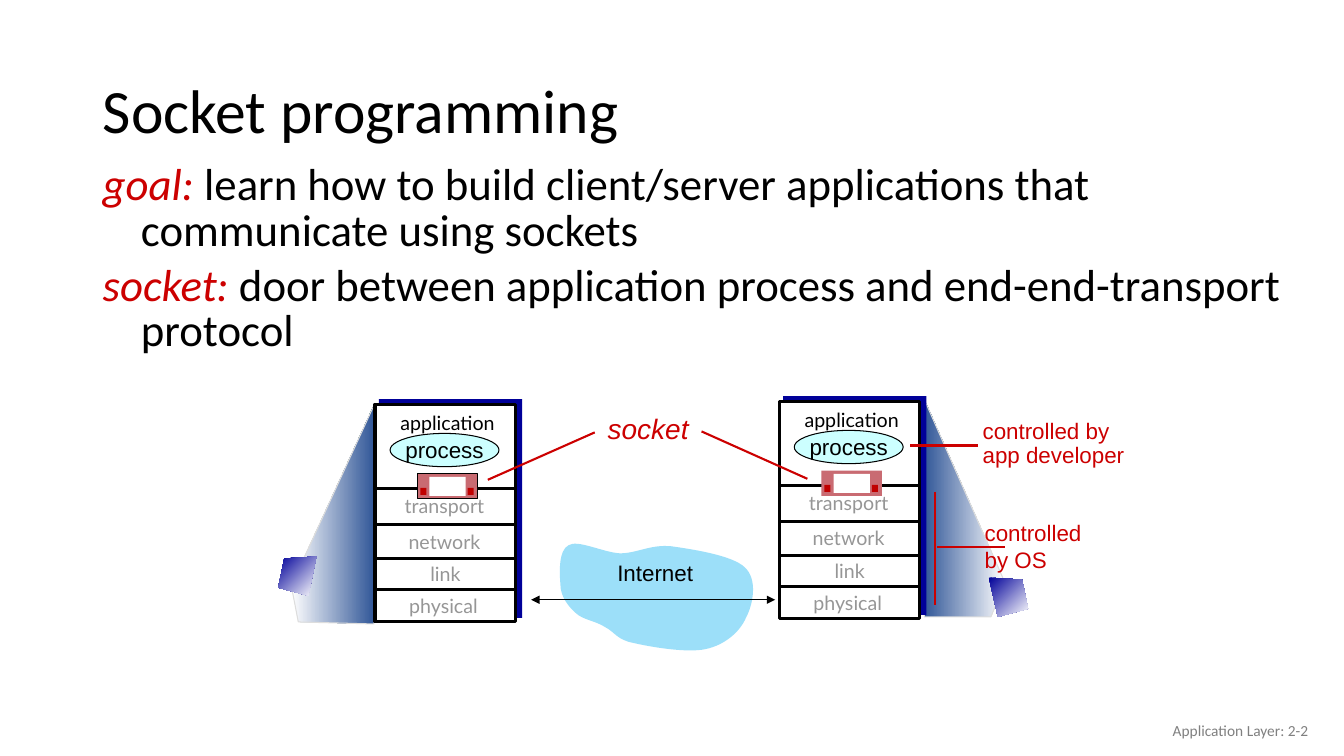
from lxml.etree import Element, SubElement
from pptx import Presentation
from pptx.dml.color import RGBColor
from pptx.enum.shapes import MSO_CONNECTOR, MSO_SHAPE
from pptx.enum.text import MSO_ANCHOR, MSO_AUTO_SIZE, PP_ALIGN
from pptx.oxml.ns import qn
from pptx.util import Pt

SCALE = 9144
RED, BLACK, GREY, NAVY, WHITE = "CC0000", "000000", "969696", "000099", "FFFFFF"
TITLE = {"name": "Calibri", "size": Pt(44)}
BODY = {"name": "Calibri", "size": Pt(32)}
FOOTER = {"name": "Calibri", "size": Pt(11)}
LAYER = {"name": "Lato", "size": Pt(14)}
LABEL = {"name": "Arial", "size": Pt(16)}
SOCKET = {"name": "Arial", "size": Pt(20), "italic": True}
LAYERS = [
    ("application", 372, 400, BLACK),
    ("transport", 369, 483, GREY),
    ("network", 369, 518, GREY),
    ("link", 370, 550, GREY),
    ("physical", 368, 582, GREY),
]
DIVIDERS = [485, 520, 554, 585]
CLOUD = [
    (556, 580),
    (555, 568), (554, 546), (564, 541),
    (573, 535), (598, 548), (615, 549),
    (632, 549), (645, 540), (666, 542),
    (687, 545), (727, 551), (739, 563),
    (752, 575), (747, 600), (740, 613),
    (734, 627), (719, 640), (700, 644),
    (682, 648), (646, 642), (629, 638),
    (612, 635), (610, 627), (600, 622),
    (591, 616), (578, 615), (571, 608),
    (563, 601), (556, 591), (556, 580),
]


def emu(*lengths):
    return [round(length * SCALE) for length in lengths]


def color(value):
    return RGBColor.from_string(value)


def set_values(target, values):
    for name, value in values.items():
        setattr(target, name, value)


def set_line(shape, line):
    if line is None:
        shape.line.fill.background()
        return
    shape.line.color.rgb = color(line[0])
    shape.line.width = Pt(line[1])


def add_span(para, text, font, ink):
    span = para.add_run()
    span.text = text
    set_values(span.font, font)
    span.font.color.rgb = color(ink)


def write(shape, lines, font, paragraph, frame):
    text_frame = shape.text_frame
    set_values(text_frame, {"auto_size": MSO_AUTO_SIZE.NONE, **frame})
    for index, (text, ink) in enumerate(lines):
        para = text_frame.add_paragraph() if index else text_frame.paragraphs[0]
        set_values(para, paragraph)
        add_span(para, text, font, ink)


def add_label(slide, place, lines, font, ink, align=PP_ALIGN.LEFT, spacing=1.0,
              anchor=MSO_ANCHOR.TOP):
    box = slide.shapes.add_textbox(*emu(*place))
    write(box, [(line, ink) for line in lines], font,
          {"alignment": align, "line_spacing": spacing},
          {"word_wrap": False, "vertical_anchor": anchor})


def add_block(slide, kind, place, fill, line=None):
    shape = slide.shapes.add_shape(kind, *emu(*place))
    shape.shadow.inherit = False
    shape.fill.solid()
    shape.fill.fore_color.rgb = color(fill)
    set_line(shape, line)
    return shape


def add_outline(slide, points, line=None):
    corners = [emu(*point) for point in points]
    builder = slide.shapes.build_freeform(*corners[0], scale=1.0)
    builder.add_line_segments(corners[1:], close=True)
    shape = builder.convert_to_shape()
    shape.shadow.inherit = False
    set_line(shape, line)
    return shape


def add_gradient_outline(slide, points, stops, angle, line=None):
    shape = add_outline(slide, points, line)
    shape.fill.gradient()
    shape.fill.gradient_angle = angle
    for stop, position, value in zip(shape.fill.gradient_stops, (0, 1), stops):
        stop.position = position
        stop.color.rgb = color(value)


def add_curved_outline(slide, points, fill):
    shape = add_outline(slide, points)
    shape.fill.solid()
    shape.fill.fore_color.rgb = color(fill)
    segments = list(shape._element.iter(qn("a:lnTo")))
    for start in range(0, len(points) - 1, 3):
        curve = Element(qn("a:cubicBezTo"))
        segments[start].addprevious(curve)
        for segment in segments[start:start + 3]:
            curve.append(segment[0])
            segment.getparent().remove(segment)


def add_rule(slide, ends, ink, width, arrows=False):
    rule = slide.shapes.add_connector(MSO_CONNECTOR.STRAIGHT, *emu(*ends))
    set_line(rule, (ink, width))
    if arrows:
        for tag in ("a:headEnd", "a:tailEnd"):
            SubElement(rule.line._get_or_add_ln(), qn(tag), type="triangle")
    SubElement(rule._element.spPr, qn("a:effectLst"))


def add_text(slide):
    title = slide.shapes.title
    set_values(title, dict(zip(("left", "top", "width", "height"), emu(92, 40, 1150, 145))))
    write(title, [("Socket programming", BLACK)], TITLE,
          {"alignment": PP_ALIGN.LEFT, "line_spacing": 0.9},
          {"word_wrap": True, "vertical_anchor": MSO_ANCHOR.MIDDLE})
    body = slide.shapes.add_textbox(*emu(92, 158, 1217, 168))
    terms = [("goal:", RED), ("socket:", RED)]
    write(body, terms, {**BODY, "italic": True}, {"line_spacing": 0.85}, {"word_wrap": True})
    meanings = [
        " learn how to build client/server applications that communicate using sockets",
        " door between application process and end-end-transport protocol",
    ]
    indent, = emu(38)
    for para, meaning in zip(body.text_frame.paragraphs, meanings):
        add_span(para, meaning, BODY, BLACK)
        properties = para._p.get_or_add_pPr()
        properties.set("marL", str(indent))
        properties.set("indent", str(-indent))
    body.text_frame.paragraphs[1].space_before = Pt(6.4)


def add_host(slide, dx, dy, door_line):
    def block(kind, left, top, width, height, fill, line=None):
        return add_block(slide, kind, (left + dx, top + dy, width, height), fill, line)

    rectangle = MSO_SHAPE.RECTANGLE
    block(rectangle, 376, 396, 142, 217, NAVY)
    block(rectangle, 372, 401, 139, 216, WHITE, (BLACK, 2.25))
    for y in DIVIDERS:
        add_rule(slide, (373 + dx, y + dy, 511 + dx, y + dy), BLACK, 2.25)
    for name, left, top, ink in LAYERS:
        add_label(slide, (left + dx, top + dy, 144, 36), [name], LAYER, ink,
                  PP_ALIGN.CENTER, 1.1)
    process = block(MSO_SHAPE.OVAL, 387, 430, 108, 33, "CCFFFF", (BLACK, 0.75))
    write(process, [("process", BLACK)], LABEL, {"alignment": PP_ALIGN.CENTER},
          {"word_wrap": False, "vertical_anchor": MSO_ANCHOR.MIDDLE})
    block(rectangle, 414, 470, 60, 25, "C96B72", door_line)
    block(rectangle, 426, 473, 36, 19, WHITE)
    for left in (417, 464):
        block(rectangle, left, 484, 6, 7, "C00000")


def main():
    deck = Presentation()
    deck.slide_width, deck.slide_height = emu(4000 / 3, 750)
    slide = deck.slides.add_slide(deck.slide_layouts[5])
    add_text(slide)

    edge = ("DDDDDD", 0.75)
    beam = (WHITE, "2F5597")
    add_gradient_outline(slide, [(997, 578), (916, 394), (917, 612), (983, 612)], beam, 180, edge)
    add_gradient_outline(slide, [(289, 581), (372, 400), (371, 619), (296, 617)], beam, 0, edge)

    add_curved_outline(slide, CLOUD, "9CDFF9")
    add_label(slide, (602, 550, 96, 37), ["Internet"], LABEL, BLACK, PP_ALIGN.CENTER)
    add_rule(slide, (527, 595, 769, 595), BLACK, 0.75, arrows=True)
    add_label(slide, (967, 510, 116, 90), ["controlled", "by OS"], LABEL, RED)
    add_label(slide, (965, 412, 161, 58), ["controlled by", "app developer"], LABEL, RED,
              spacing=0.9)

    add_host(slide, 0, 0, (BLACK, 0.75))
    add_host(slide, 401, -3, None)

    add_label(slide, (593, 407, 100, 40), ["socket"], SOCKET, RED, spacing=0.9)
    for ends in [(970, 442, 903, 442), (928, 488, 928, 600), (997, 543, 930, 543),
                 (484, 476, 590, 429), (801, 475, 696, 428)]:
        add_rule(slide, ends, RED, 1.5)

    for corners in [[(314, 552), (282, 554), (276, 583), (306, 591)],
                    [(981, 573), (1014, 575), (1020, 604), (990, 612)]]:
        add_gradient_outline(slide, corners, (NAVY, WHITE), 315)

    add_label(slide, (1008, 705, 300, 40), ["Application Layer: 2-2"], FOOTER, "808080",
              PP_ALIGN.RIGHT, anchor=MSO_ANCHOR.MIDDLE)
    deck.save("out.pptx")


if __name__ == "__main__":
    main()
